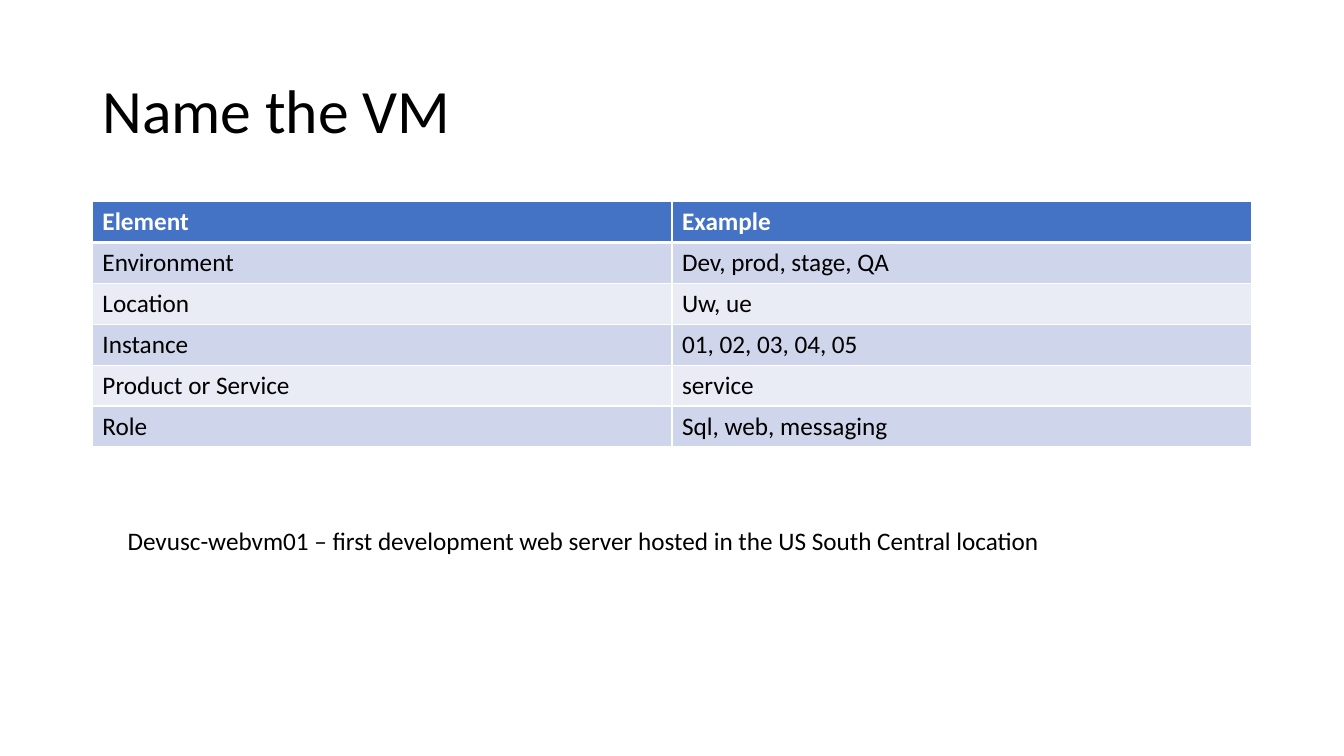
from dataclasses import dataclass

from lxml import etree
from pptx import Presentation
from pptx.dml.color import RGBColor
from pptx.enum.text import MSO_ANCHOR
from pptx.oxml.ns import qn
from pptx.util import Emu, Inches, Pt

MIDDLE, TOP = MSO_ANCHOR.MIDDLE, MSO_ANCHOR.TOP
FONT = "Calibri"
BODY_SIZE = 18
COLORS = {
    "text": "000000",
    "header_text": "FFFFFF",
    "header": "4472C4",
    "odd": "CFD5EA",
    "even": "E9EBF5",
    "border": "FFFFFF",
}

prs = Presentation()
prs.slide_width, prs.slide_height = Inches(13.33), Inches(7.5)
COL, ROW = prs.slide_width / 160, prs.slide_height / 90


@dataclass(frozen=True)
class Box:
    col: float
    row: float
    cols: float
    rows: float

    def place(self) -> tuple[Emu, Emu, Emu, Emu]:
        return (Emu(round(self.col * COL)), Emu(round(self.row * ROW)),
                Emu(round(self.cols * COL)), Emu(round(self.rows * ROW)))


@dataclass(frozen=True)
class Label:
    box: Box
    text: str
    size: int
    anchor: MSO_ANCHOR
    spacing: float
    wrap: bool


@dataclass(frozen=True)
class Naming:
    element: str
    example: str


LABELS = [
    Label(Box(11, 4.8, 138, 17.4), "Name the VM", 44, MIDDLE, 0.9, True),
    Label(Box(14, 62, 112.2, 4.8),
          "Devusc-webvm01 – first development web server hosted in the US South Central location",
          BODY_SIZE, TOP, 1.0, False),
]
TABLE_BOX = Box(11, 24, 138, 29.2)
NAMINGS = [
    Naming("Element", "Example"),
    Naming("Environment", "Dev, prod, stage, QA"),
    Naming("Location", "Uw, ue"),
    Naming("Instance", "01, 02, 03, 04, 05"),
    Naming("Product or Service", "service"),
    Naming("Role", "Sql, web, messaging"),
]


def add_run(p, text: str, size: int, color: str, bold: bool = False) -> None:
    r = p.add_run()
    r.text = text
    r.font.name, r.font.size, r.font.bold = FONT, Pt(size), bold
    r.font.color.rgb = RGBColor.from_string(COLORS[color])


def add_label(s, label: Label) -> None:
    tf = s.shapes.add_textbox(*label.box.place()).text_frame
    tf.word_wrap, tf.vertical_anchor = label.wrap, label.anchor
    p = tf.paragraphs[0]
    p.line_spacing = label.spacing
    add_run(p, label.text, label.size, "text")


def set_borders(cell, top: int, bottom: int) -> None:
    props = cell._tc.get_or_add_tcPr()
    widths = {"a:lnL": 1, "a:lnR": 1, "a:lnT": top, "a:lnB": bottom}
    for i, (tag, width) in enumerate(widths.items()):
        line = etree.Element(qn(tag), w=str(Pt(width)))
        fill = etree.SubElement(line, qn("a:solidFill"))
        etree.SubElement(fill, qn("a:srgbClr"), val=COLORS["border"])
        props.insert(i, line)


def add_naming_table(s, box: Box, namings: list[Naming]) -> None:
    table = s.shapes.add_table(len(namings), 2, *box.place()).table
    for i, naming in enumerate(namings):
        header = i == 0
        fill = "header" if header else "odd" if i % 2 else "even"
        for j, text in enumerate((naming.element, naming.example)):
            cell = table.cell(i, j)
            cell.fill.solid()
            cell.fill.fore_color.rgb = RGBColor.from_string(COLORS[fill])
            set_borders(cell, 3 if i == 1 else 1, 3 if header else 1)
            add_run(cell.text_frame.paragraphs[0], text, BODY_SIZE,
                    "header_text" if header else "text", header)


s = prs.slides.add_slide(prs.slide_layouts[6])
add_naming_table(s, TABLE_BOX, NAMINGS)
for label in LABELS:
    add_label(s, label)
prs.save("out.pptx")
